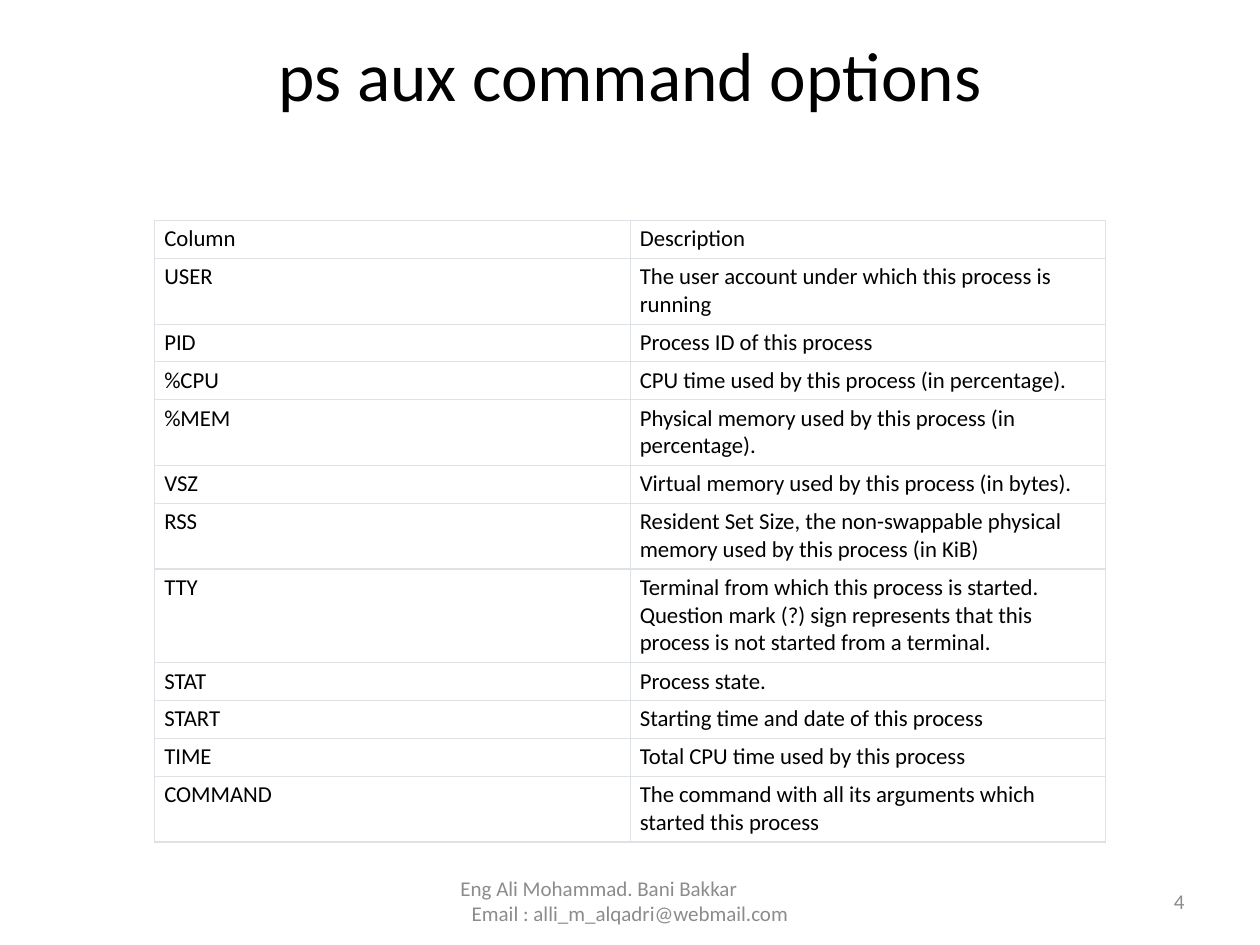
from math import ceil

from lxml import etree
from pptx import Presentation
from pptx.dml.color import RGBColor
from pptx.enum.text import MSO_ANCHOR, MSO_AUTO_SIZE, PP_ALIGN
from pptx.oxml.ns import qn
from pptx.util import Pt

LEFT, MID, RIGHT = PP_ALIGN.LEFT, PP_ALIGN.CENTER, PP_ALIGN.RIGHT
CENTER = MSO_ANCHOR.MIDDLE
NO_FIT = MSO_AUTO_SIZE.NONE

# Content
TITLE = "ps aux command options"
ROWS = [
    ("Column", "Description"),
    ("USER", "The user account under which this process is running"),
    ("PID", "Process ID of this process"),
    ("%CPU", "CPU time used by this process (in percentage)."),
    ("%MEM", "Physical memory used by this process (in percentage)."),
    ("VSZ", "Virtual memory used by this process (in bytes)."),
    ("RSS", "Resident Set Size, the non-swappable physical memory used by "
            "this process (in KiB)"),
    ("TTY", "Terminal from which this process is started. Question mark (?) "
            "sign represents that this process is not started from a terminal."),
    ("STAT", "Process state."),
    ("START", "Starting time and date of this process"),
    ("TIME", "Total CPU time used by this process"),
    ("COMMAND", "The command with all its arguments which started this process"),
]
AUTHOR = "Eng Ali Mohammad. Bani Bakkar"
EMAIL = "Email : alli_m_alqadri@webmail.com"
PAGE = "4"


class Theme:
    font = "Calibri"
    ink = RGBColor(0, 0, 0)
    gray = RGBColor(0x8C, 0x8C, 0x8C)
    rule = "DEE2E6"
    title, body, foot = 39.6, 13, 12


# Layout, in points
WIDE, HIGH = 720, 540
EDGE = 36
GRID_X, GRID_Y, COL = 88.5, 126, 271.75
ROW, LINE, CHARS = 21.6, 16, 48
FOOT_Y, FOOT_H = 500.4, 28.8


def style(par, size, color, align):
    par.alignment = align
    for run in par.runs:
        run.font.name = Theme.font
        run.font.size = Pt(size)
        run.font.color.rgb = color


def place(shape, x, y, w, h):
    shape.left, shape.top, shape.width, shape.height = Pt(x), Pt(y), Pt(w), Pt(h)


def border(cell):
    props = cell._tc.get_or_add_tcPr()
    for spot, side in enumerate(("lnL", "lnR", "lnT", "lnB")):
        line = etree.Element(qn("a:" + side), w=str(Pt(0.75)))
        fill = etree.SubElement(line, qn("a:solidFill"))
        etree.SubElement(fill, qn("a:srgbClr"), val=Theme.rule)
        props.insert(spot, line)


def add_title(slide):
    shape = slide.shapes.title
    place(shape, EDGE, 21.6, WIDE - 2 * EDGE, 90)
    frame = shape.text_frame
    frame.text = TITLE
    frame.auto_size = NO_FIT
    frame.vertical_anchor = CENTER
    frame.margin_bottom = Pt(52)  # lifts the line above the middle
    style(frame.paragraphs[0], Theme.title, Theme.ink, MID)


def add_grid(slide):
    tall = [ROW + LINE * (ceil(len(text) / CHARS) - 1) for _, text in ROWS]
    table = slide.shapes.add_table(
        len(ROWS), 2, Pt(GRID_X), Pt(GRID_Y), Pt(2 * COL), Pt(sum(tall))).table
    table.first_row = table.horz_banding = False
    for col in table.columns:
        col.width = Pt(COL)
    for r, pair in enumerate(ROWS):
        table.rows[r].height = Pt(tall[r])
        for c, text in enumerate(pair):
            cell = table.cell(r, c)
            cell.text = text
            cell.margin_left = cell.margin_right = Pt(5.4)
            cell.margin_top = cell.margin_bottom = Pt(2.7)
            cell.fill.background()
            border(cell)
            style(cell.text_frame.paragraphs[0], Theme.body, Theme.ink, LEFT)


def add_foot(slide, x, w, lines):
    box = slide.shapes.add_textbox(Pt(x), Pt(FOOT_Y), Pt(w), Pt(FOOT_H))
    frame = box.text_frame
    frame.word_wrap = True
    frame.vertical_anchor = CENTER
    frame.text = "\n".join(text for text, _ in lines)
    for par, (_, align) in zip(frame.paragraphs, lines):
        style(par, Theme.foot, Theme.gray, align)
    return frame


def main():
    deck = Presentation()
    deck.slide_width, deck.slide_height = Pt(WIDE), Pt(HIGH)
    slide = deck.slides.add_slide(deck.slide_layouts[5])

    add_title(slide)
    add_grid(slide)

    # Footer: the author line starts a little left of the e-mail line
    foot = add_foot(slide, 246, 228, [(AUTHOR, LEFT), (EMAIL, MID)])
    foot.paragraphs[0]._p.get_or_add_pPr().set("marL", str(Pt(10)))
    add_foot(slide, 516, 168, [(PAGE, RIGHT)])

    deck.save("out.pptx")


if __name__ == "__main__":
    main()
